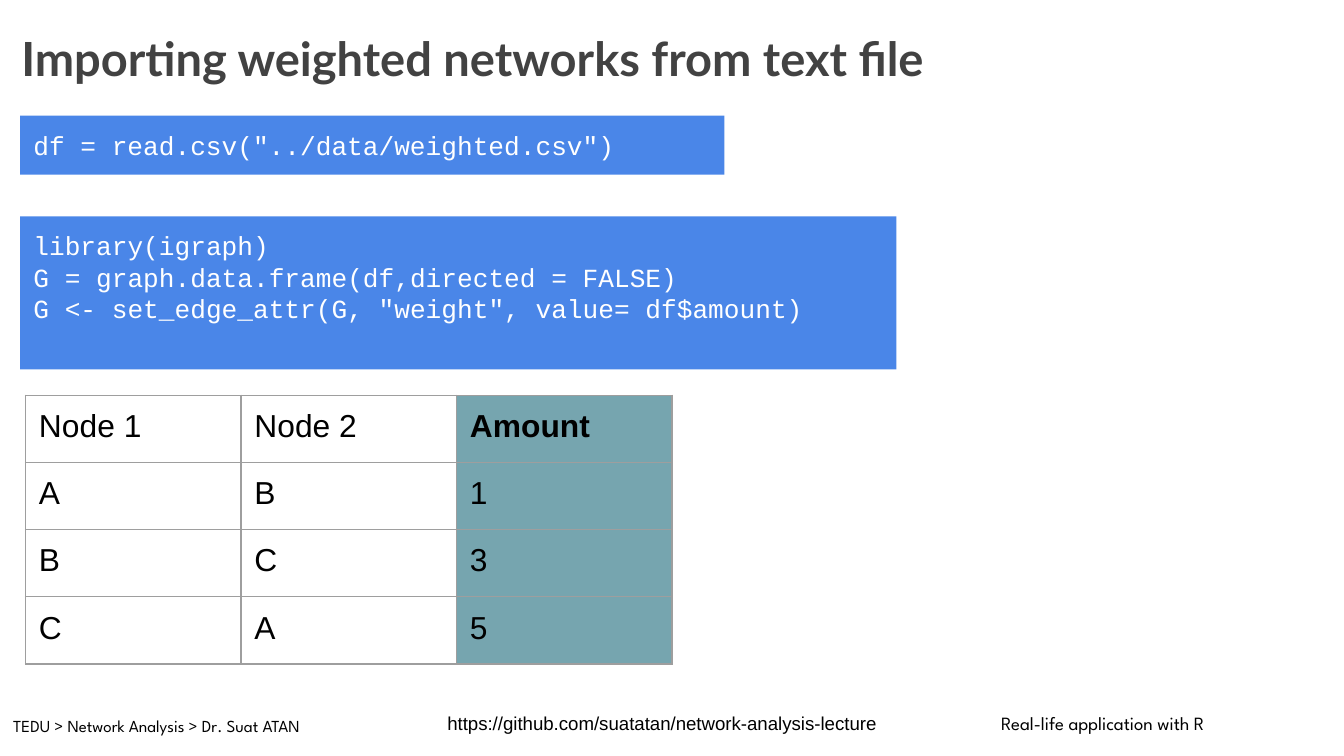
import pptx
import pptx.dml.color
import pptx.enum.shapes
import pptx.enum.text
import pptx.oxml
import pptx.oxml.ns
import pptx.util
from pptx.util import Inches

RGBColor = pptx.dml.color.RGBColor
BLACK = RGBColor(0x00, 0x00, 0x00)
WHITE = RGBColor(0xFF, 0xFF, 0xFF)
TITLE_GRAY = RGBColor(0x42, 0x42, 0x42)
CODE_BLUE = RGBColor(0x4A, 0x86, 0xE8)
AMOUNT_TEAL = RGBColor(0x76, 0xA5, 0xAF)
BORDER_GRAY = RGBColor(0x9E, 0x9E, 0x9E)

MARGIN = Inches(0.1)
EDGES = [
    ["Node 1", "Node 2", "Amount"],
    ["A", "B", "1"],
    ["B", "C", "3"],
    ["C", "A", "5"],
]
FOOTERS = [
    ("TEDU > Network Analysis > Dr. Suat ATAN", (0, 5.25, 2.88, 0.35), "League Spartan", 9),
    ("Real-life application with R", (7.35, 5.21, 1.94, 0.37), "League Spartan", 10),
    ("https://github.com/suatatan/network-analysis-lecture", (3.23, 5.21, 3.77, 0.37), "Arial", 10),
]
CODE_BLOCKS = [
    (['df = read.csv("../data/weighted.csv")'], (0.15, 0.86, 5.24, 0.44)),
    (
        [
            "library(igraph)",
            "G = graph.data.frame(df,directed = FALSE)",
            'G <- set_edge_attr(G, "weight", value= df$amount)',
        ],
        (0.15, 1.61, 6.52, 1.14),
    ),
]


def write_lines(frame, lines, font_name, size, color, bold=False):
    frame.word_wrap = True
    frame.vertical_anchor = pptx.enum.text.MSO_ANCHOR.TOP
    for side in ("left", "top", "right", "bottom"):
        setattr(frame, f"margin_{side}", MARGIN)
    font_format = {"name": font_name, "size": pptx.util.Pt(size), "bold": bold}
    for index, line in enumerate(lines):
        paragraph = frame.add_paragraph() if index else frame.paragraphs[0]
        paragraph.alignment = pptx.enum.text.PP_ALIGN.LEFT
        run = paragraph.add_run()
        run.text = line
        for name, value in font_format.items():
            setattr(run.font, name, value)
        run.font.color.rgb = color


def add_label(slide, text, box, font_name, size, color=BLACK, bold=False):
    label = slide.shapes.add_textbox(*map(Inches, box))
    write_lines(label.text_frame, [text], font_name, size, color, bold)


def add_code_block(slide, lines, box):
    shape = slide.shapes.add_shape(
        pptx.enum.shapes.MSO_SHAPE.RECTANGLE, *map(Inches, box)
    )
    shape.shadow.inherit = False
    shape.fill.solid()
    shape.fill.fore_color.rgb = CODE_BLUE
    shape.line.fill.background()
    write_lines(shape.text_frame, lines, "Courier New", 14, WHITE)


def set_borders(cell):
    """Draw all four cell borders; they must precede the cell fill in the XML."""
    properties = cell._tc.get_or_add_tcPr()
    for index, edge in enumerate(("lnL", "lnR", "lnT", "lnB")):
        border = pptx.oxml.parse_xml(
            f'<a:{edge} {pptx.oxml.ns.nsdecls("a")} w="{pptx.util.Pt(0.75)}">'
            f'<a:solidFill><a:srgbClr val="{BORDER_GRAY}"/></a:solidFill></a:{edge}>'
        )
        properties.insert(index, border)


def add_edge_table(slide, rows, box):
    frame = slide.shapes.add_table(len(rows), len(rows[0]), *map(Inches, box))
    table = frame.table
    table.first_row = False
    table.horz_banding = False
    for row_index, row in enumerate(rows):
        for column_index, text in enumerate(row):
            cell = table.cell(row_index, column_index)
            is_amount = column_index == len(row) - 1
            if is_amount:
                cell.fill.solid()
                cell.fill.fore_color.rgb = AMOUNT_TEAL
            else:
                cell.fill.background()
            set_borders(cell)
            for side in ("left", "top", "right", "bottom"):
                setattr(cell, f"margin_{side}", MARGIN)
            write_lines(
                cell.text_frame, [text], "Arial", 17, BLACK,
                bold=is_amount and row_index == 0,
            )


def main():
    presentation = pptx.Presentation()
    presentation.slide_width = Inches(10)
    presentation.slide_height = presentation.slide_width * 9 // 16
    slide = presentation.slides.add_slide(presentation.slide_layouts[6])
    for text, box, font_name, size in FOOTERS:
        add_label(slide, text, box, font_name, size)
    add_label(
        slide, "Importing weighted networks from text file",
        (0.06, 0.12, 8.72, 0.63), "Lato", 25.2, TITLE_GRAY, bold=True,
    )
    for lines, box in CODE_BLOCKS:
        add_code_block(slide, lines, box)
    add_edge_table(slide, EDGES, (0.19, 2.94, 4.81, 2))
    presentation.save("out.pptx")


if __name__ == "__main__":
    main()
